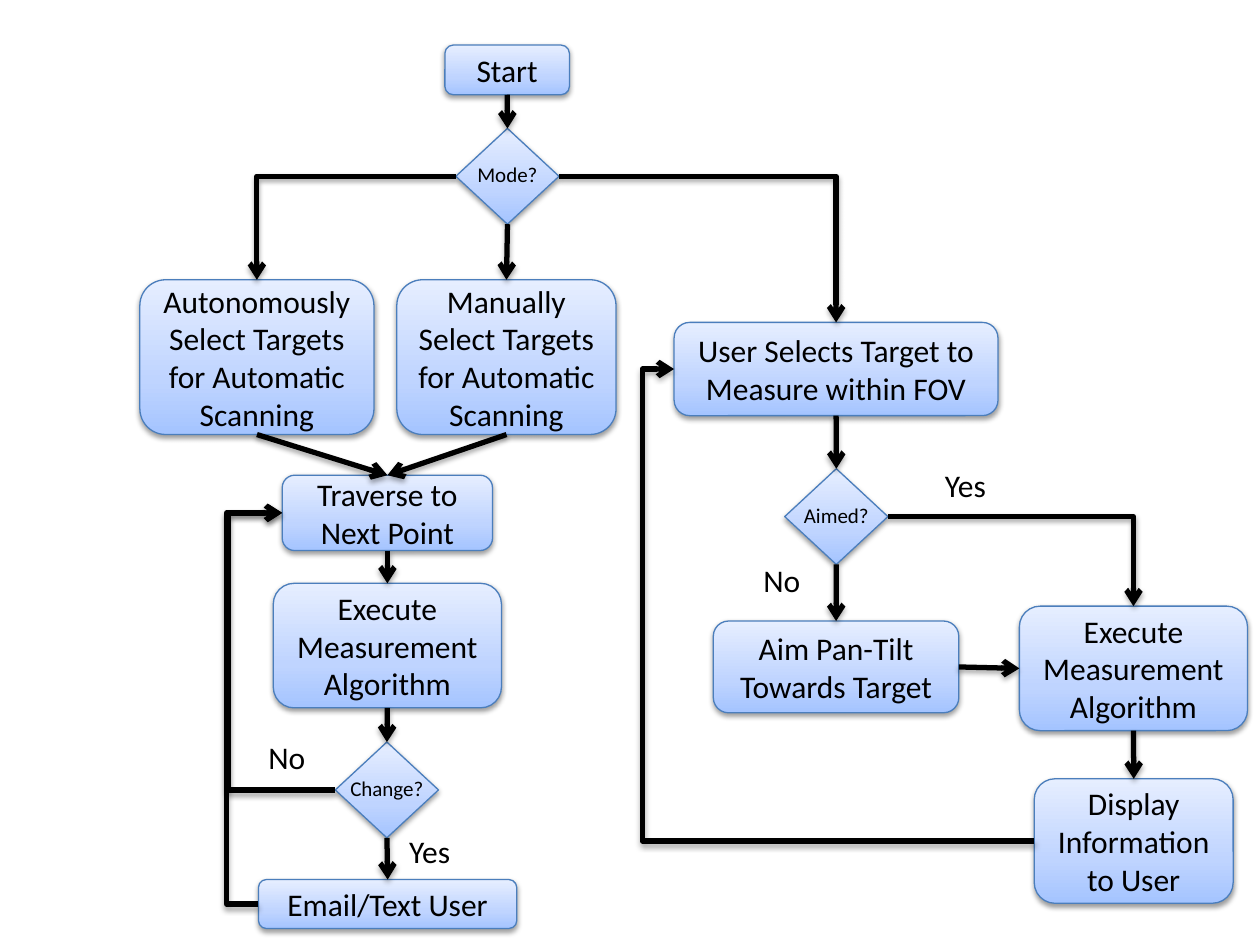
from lxml import etree
from pptx import Presentation, util as u
from pptx.dml.color import RGBColor
from pptx.enum import shapes, text
from pptx.oxml.ns import qn

COLORS = {"ink": "000000", "edge": "4B7EBC", "low": "A4C4FF", "mid": "BFD4FF", "high": "E6EEFF"}
FONT = "Calibri"
TOP, LEFT, BOTTOM, RIGHT = range(4)

# Content: lengths in cm as left, top, width, height
STEPS = {
    "select": ("User Selects Target to Measure within FOV", 13.59, 6.5, 6.53, 1.88),
    "aim": ("Aim Pan-Tilt Towards Target", 14.38, 12.52, 4.95, 1.85),
    "measure": ("Execute Measurement Algorithm", 20.55, 12.22, 4.6, 2.51),
    "display": ("Display Information to User", 20.85, 15.7, 4.01, 2.51),
    "start": ("Start", 8.97, 0.91, 2.51, 1),
    "manual": ("Manually Select Targets for Automatic Scanning", 8, 5.64, 4.42, 3.12),
    "auto": ("Autonomously Select Targets for Automatic Scanning", 2.82, 5.64, 4.72, 3.12),
    "email": ("Email/Text User", 5.21, 17.73, 5.21, 0.99),
    "scan": ("Execute Measurement Algorithm", 5.51, 11.76, 4.6, 2.51),
    "traverse": ("Traverse to Next Point", 5.69, 9.58, 4.24, 1.52),
}
DECISIONS = {
    "aimed": ("Aimed?", 15.82, 9.45),
    "change": ("Change?", 6.76, 14.96),
    "mode": ("Mode?", 9.19, 2.59),
}
DIAMOND = (2.08, 1.93)
LABEL = (2.01, 0.76)
ANSWERS = [("Yes", 18.8, 9.27, 1.55), ("No", 15.14, 11.18, 1.32),
           ("Yes", 8, 16.64, 1.55), ("No", 5.16, 14.76, 1.32)]
DOWN = [("start", "mode"), ("mode", "manual"), ("manual", "traverse"), ("auto", "traverse"),
        ("traverse", "scan"), ("scan", "change"), ("change", "email"),
        ("select", "aimed"), ("aimed", "aim"), ("measure", "display")]
CORNERS = [("aimed", RIGHT, "measure"), ("mode", RIGHT, "select"), ("mode", LEFT, "auto")]
LOOPS = [("change", "traverse", 4.6), ("email", "traverse", 4.57), ("display", "select", 12.95)]


def rgb(name):
    return RGBColor.from_string(COLORS[name])


def put_text(sp, content, size=18, align=text.PP_ALIGN.CENTER, wrap=True,
             anchor=text.MSO_ANCHOR.MIDDLE):
    tf = sp.text_frame
    tf.word_wrap, tf.vertical_anchor = wrap, anchor
    p = tf.paragraphs[0]
    p.alignment = align
    r = p.add_run()
    r.text = content
    r.font.size, r.font.name = u.Pt(size), FONT
    r.font.color.rgb = rgb("ink")


def add_shadow(effects, alpha, dist):
    shadow = etree.SubElement(effects, qn("a:outerShdw"), blurRad=str(u.Pt(3.1)),
                              dist=str(u.Pt(dist)), dir="5400000", rotWithShape="0")
    color = etree.SubElement(shadow, qn("a:srgbClr"), val=COLORS["ink"])
    etree.SubElement(color, qn("a:alpha"), val=str(alpha * 1000))


def add_node(kind, *box):
    sp = s.shapes.add_shape(kind, *map(u.Cm, box))
    sp.fill.gradient()
    sp.fill.gradient_angle = 90
    stops = sp._element.spPr.find(".//" + qn("a:gsLst"))
    for old in list(stops):
        stops.remove(old)
    for pos, name in ((0, "low"), (35, "mid"), (100, "high")):
        stop = etree.SubElement(stops, qn("a:gs"), pos=str(pos * 1000))
        etree.SubElement(stop, qn("a:srgbClr"), val=COLORS[name])
    sp.line.color.rgb, sp.line.width = rgb("edge"), u.Pt(0.75)
    sp.shadow.inherit = False
    add_shadow(sp._element.spPr.find(qn("a:effectLst")), 38, 1.6)
    return sp


def add_label(content, *box, **fmt):
    tb = s.shapes.add_textbox(*map(u.Cm, box))
    put_text(tb, content, wrap=False, anchor=text.MSO_ANCHOR.TOP, **fmt)
    return tb


def link(start, side, end, end_side, kind=shapes.MSO_CONNECTOR.STRAIGHT):
    c = s.shapes.add_connector(kind, 0, 0, 0, 0)
    c.begin_connect(nodes[start], side)
    c.end_connect(nodes[end], end_side)
    c.line.color.rgb, c.line.width = rgb("ink"), u.Pt(3)
    spPr = c._element.spPr
    etree.SubElement(spPr.find(qn("a:ln")), qn("a:tailEnd"), type="arrow")
    add_shadow(etree.SubElement(spPr, qn("a:effectLst")), 35, 1.8)
    return c


def bend(c, preset, adjust=None):
    geom = c._element.spPr.find(qn("a:prstGeom"))
    geom.set("prst", preset)
    if adjust is not None:
        guides = geom.find(qn("a:avLst"))
        if guides is None:
            guides = etree.SubElement(geom, qn("a:avLst"))
        etree.SubElement(guides, qn("a:gd"), name="adj1", fmla=f"val {round(adjust * 100000)}")


prs = Presentation()
prs.slide_width, prs.slide_height = u.Cm(25.4), u.Cm(19.05)
s = prs.slides.add_slide(prs.slide_layouts[6])
nodes = {}

# Process steps
for key, (content, *box) in STEPS.items():
    nodes[key] = add_node(shapes.MSO_SHAPE.ROUNDED_RECTANGLE, *box)
    put_text(nodes[key], content)

# Decisions, each grouped with its centred label
for key, (content, x, y) in DECISIONS.items():
    nodes[key] = add_node(shapes.MSO_SHAPE.DIAMOND, x, y, *DIAMOND)
    label = add_label(content, x + (DIAMOND[0] - LABEL[0]) / 2, y + 0.55, *LABEL, size=12)
    s.shapes.add_group_shape([nodes[key], label])

# Straight arrows
for start, end in DOWN:
    link(start, BOTTOM, end, TOP)
link("aim", RIGHT, "measure", LEFT)

# Arrows with one corner
for start, side, end in CORNERS:
    bend(link(start, side, end, TOP, shapes.MSO_CONNECTOR.ELBOW), "bentConnector2")

# Arrows that loop back through a lane on the left
for start, end, lane in LOOPS:
    c = link(start, LEFT, end, LEFT, shapes.MSO_CONNECTOR.ELBOW)
    bend(c, "bentConnector3", (u.Cm(lane) - c.begin_x) / (c.end_x - c.begin_x))

# Answers beside the decisions
for content, x, y, width in ANSWERS:
    add_label(content, x, y, width, 1.02, align=text.PP_ALIGN.LEFT)

prs.save("out.pptx")
